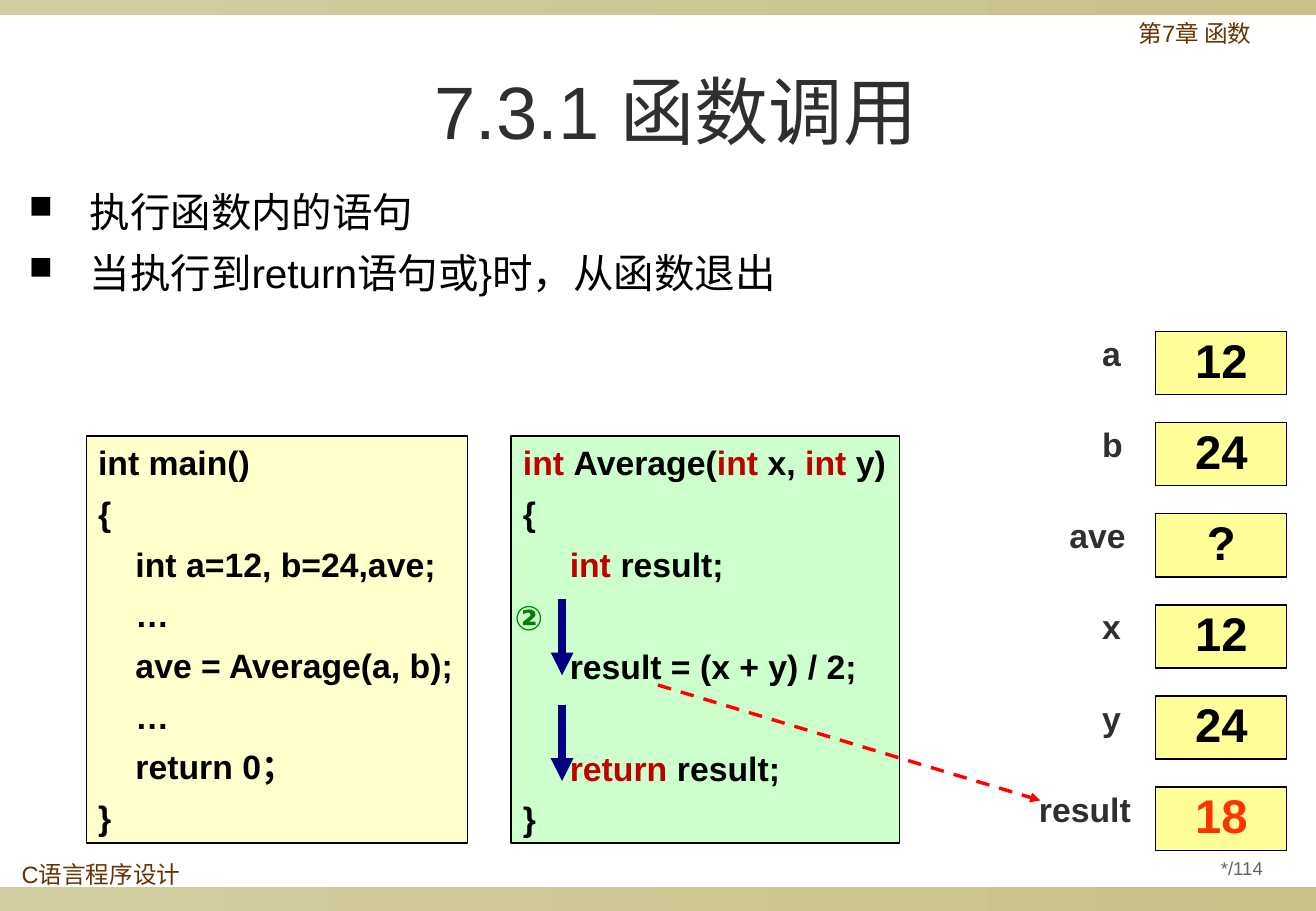
from dataclasses import dataclass

from lxml.etree import SubElement
from pptx import Presentation
from pptx.dml.color import RGBColor
from pptx.enum.dml import MSO_LINE
from pptx.enum.shapes import MSO_CONNECTOR, MSO_SHAPE
from pptx.enum.text import MSO_ANCHOR, PP_ALIGN
from pptx.oxml.ns import qn
from pptx.util import Inches, Pt


@dataclass(frozen=True)
class Theme:
    font: str = "Arial"
    black: str = "000000"
    gray: str = "2F2F2F"
    page_gray: str = "636363"
    brown: str = "663300"
    keyword: str = "C00000"
    step_green: str = "008000"
    result_red: str = "FF3300"
    bar_left: str = "D3CEA1"
    bar_right: str = "C8C18A"
    main_fill: str = "FFFFCC"
    average_fill: str = "CCFFCC"
    value_fill: str = "FFFF99"
    flow_arrow: str = "000080"
    store_arrow: str = "FF0000"
    title_size: int = 44
    value_size: int = 28
    body_size: int = 24
    code_size: int = 20
    footer_size: int = 14
    page_size: int = 11


theme = Theme()
rgb = RGBColor.from_string


def add_text(area, lines, size, color, fill=None, bold=False, wrap=True,
             align=PP_ALIGN.LEFT, anchor=MSO_ANCHOR.TOP, spacing=0.9):
    """Add a text box, or an outlined rectangle when fill is given.

    Each line is a list of (text, colour) runs; a colour of None means the default.
    """
    place = [Inches(length) for length in area]
    if fill:
        box = page.shapes.add_shape(MSO_SHAPE.RECTANGLE, *place)
        box.shadow.inherit = False
        box.fill.solid()
        box.fill.fore_color.rgb = rgb(fill)
        box.line.color.rgb = rgb(theme.black)
        box.line.width = Pt(0.75)
    else:
        box = page.shapes.add_textbox(*place)
    frame = box.text_frame
    frame.word_wrap = wrap
    frame.vertical_anchor = anchor
    for index, runs in enumerate(lines):
        para = frame.add_paragraph() if index else frame.paragraphs[0]
        para.alignment = align
        para.line_spacing = spacing
        for text, run_color in runs:
            span = para.add_run()
            span.text = text
            span.font.name = theme.font
            span.font.size = Pt(size)
            span.font.bold = bold
            span.font.color.rgb = rgb(run_color or color)
    return frame


def add_arrow(start, end, color, width):
    ends = [Inches(length) for length in (*start, *end)]
    arrow = page.shapes.add_connector(MSO_CONNECTOR.STRAIGHT, *ends)
    arrow.line.color.rgb = rgb(color)
    arrow.line.width = Pt(width)
    SubElement(arrow.line._get_or_add_ln(), qn("a:tailEnd"), type="triangle")
    SubElement(arrow._element.spPr, qn("a:effectLst"))
    return arrow


deck = Presentation()
deck.slide_width, deck.slide_height = Inches(10.84), Inches(7.5)
page = deck.slides.add_slide(deck.slide_layouts[6])

# Bars, running texts and title
for top, height in ((7.3, 0.2), (0, 0.12)):
    bar = page.shapes.add_shape(MSO_SHAPE.RECTANGLE, 0, Inches(top), Inches(10.84), Inches(height))
    bar.shadow.inherit = False
    bar.line.fill.background()
    bar.fill.gradient()
    bar.fill.gradient_angle = 0
    for stop, color in zip(bar.fill.gradient_stops, (theme.bar_left, theme.bar_right)):
        stop.color.rgb = rgb(color)

add_text((0.08, 7.06, 1.56, 0.32), [[("C语言程序设计", None)]], theme.footer_size, theme.brown)
add_text((9.28, 0.13, 1.56, 0.39), [[("第7章 函数", None)]], theme.footer_size, theme.brown)
add_text((9.69, 7, 1.08, 0.31), [[("*/114", None)]], theme.page_size, theme.page_gray,
         align=PP_ALIGN.CENTER, anchor=MSO_ANCHOR.MIDDLE)
add_text((0.45, 0.44, 10.24, 0.92), [[("7.3.1 函数调用", None)]], theme.title_size, theme.gray,
         align=PP_ALIGN.CENTER, anchor=MSO_ANCHOR.MIDDLE, spacing=1.0)

# Bulleted points
points = ["执行函数内的语句", "当执行到return语句或}时，从函数退出"]
body = add_text((0.14, 1.47, 10.19, 1.89), [[(point, None)] for point in points],
                theme.body_size, theme.black, spacing=1.05)
for para in body.paragraphs:
    para.space_after = Pt(5.9)
    properties = para._p.get_or_add_pPr()
    properties.set("marL", str(Inches(0.5)))
    properties.set("indent", str(-Inches(0.5)))
    bullet_color = SubElement(properties, qn("a:buClr"))
    SubElement(bullet_color, qn("a:srgbClr"), val=theme.black)
    SubElement(properties, qn("a:buSzPct"), val="80000")
    SubElement(properties, qn("a:buChar"), char="■")

# Code of the caller and of the called function
main_code = ["int main()", "{", "    int a=12, b=24,ave;", "    …",
             "    ave = Average(a, b);", "    …", "    return 0；", "}"]
average_code = [
    [("int ", theme.keyword), ("Average(", None), ("int", theme.keyword),
     (" x,", None), (" int ", theme.keyword), ("y)", None)],
    [("{", None)],
    [("     int ", theme.keyword), ("result;", None)],
    [("     result = (x + y) / 2;", None)],
    [("     return", theme.keyword), (" result;", None)],
    [("}", None)],
]
line_gap, skipped_line_gap = 6, 36.5
listings = [
    ((0.71, 3.59, 3.14, 3.35), [[(line, None)] for line in main_code], theme.main_fill, ()),
    ((4.21, 3.59, 3.2, 3.35), average_code, theme.average_fill, (3, 4)),
]
for area, code, fill, after_skip in listings:
    listing = add_text(area, code, theme.code_size, theme.black, fill, bold=True,
                       wrap=False, spacing=1.0)
    for index, para in enumerate(listing.paragraphs):
        if index:
            para.space_before = Pt(skipped_line_gap if index in after_skip else line_gap)

# Variables and their values
variables = [("a", "12", 8.98), ("b", "24", 8.98), ("ave", "?", 8.71),
             ("x", "12", 8.98), ("y", "24", 8.98), ("result", "18", 8.46)]
value_left, first_top, row_pitch = 9.52, 2.73, 0.75
for row, (name, value, name_left) in enumerate(variables):
    top = first_top + row * row_pitch
    value_color = theme.result_red if name == "result" else theme.black
    add_text((name_left, top, value_left - name_left, 0.4), [[(name, None)]],
             theme.code_size, theme.gray, bold=True)
    add_text((value_left, top, 1.08, 0.52), [[(value, None)]], theme.value_size, value_color,
             theme.value_fill, bold=True, align=PP_ALIGN.CENTER)

# Execution step and arrows
add_text((4.14, 4.9, 0.48, 0.4), [[("②", None)]], theme.code_size, theme.step_green,
         bold=True, wrap=False)
for top in (4.93, 5.8):
    add_arrow((4.63, top), (4.63, top + 0.63), theme.flow_arrow, 4.5)
store_arrow = add_arrow((5.42, 5.64), (8.57, 6.59), theme.store_arrow, 2)
store_arrow.line.dash_style = MSO_LINE.DASH

deck.save("out.pptx")
